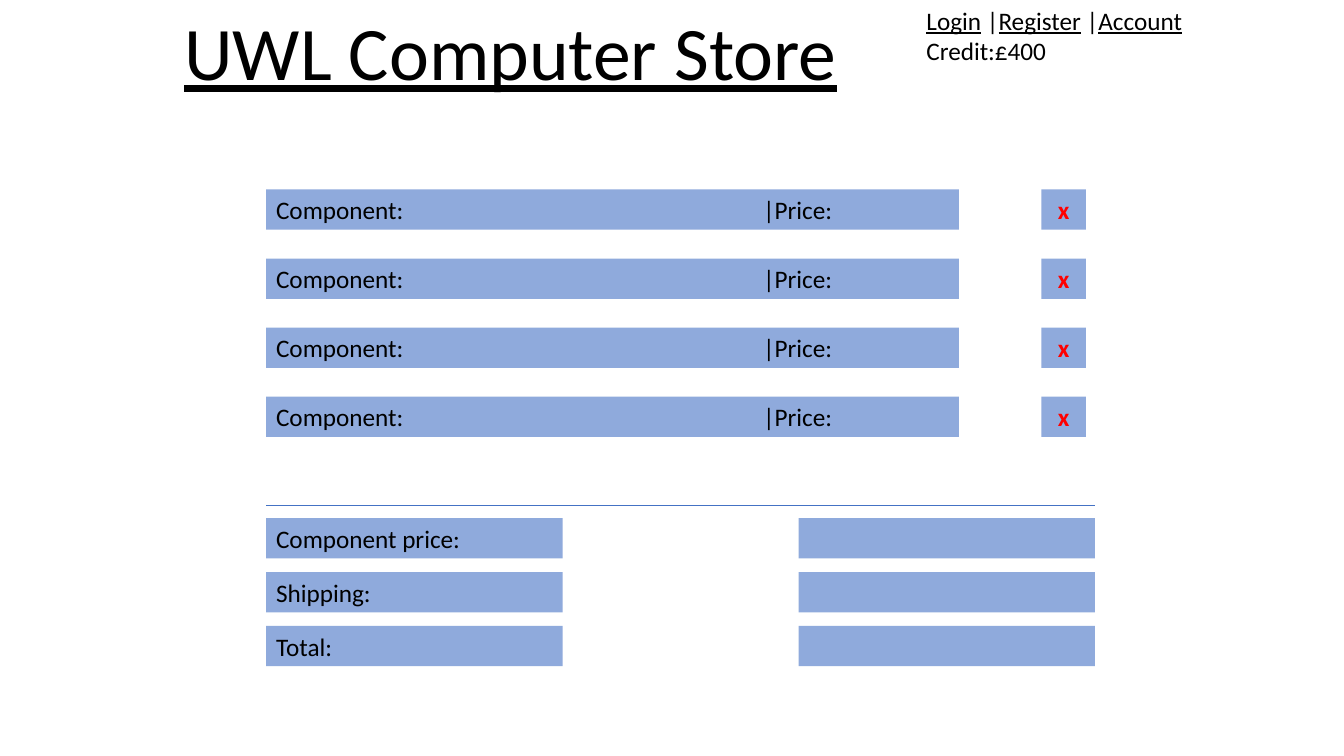
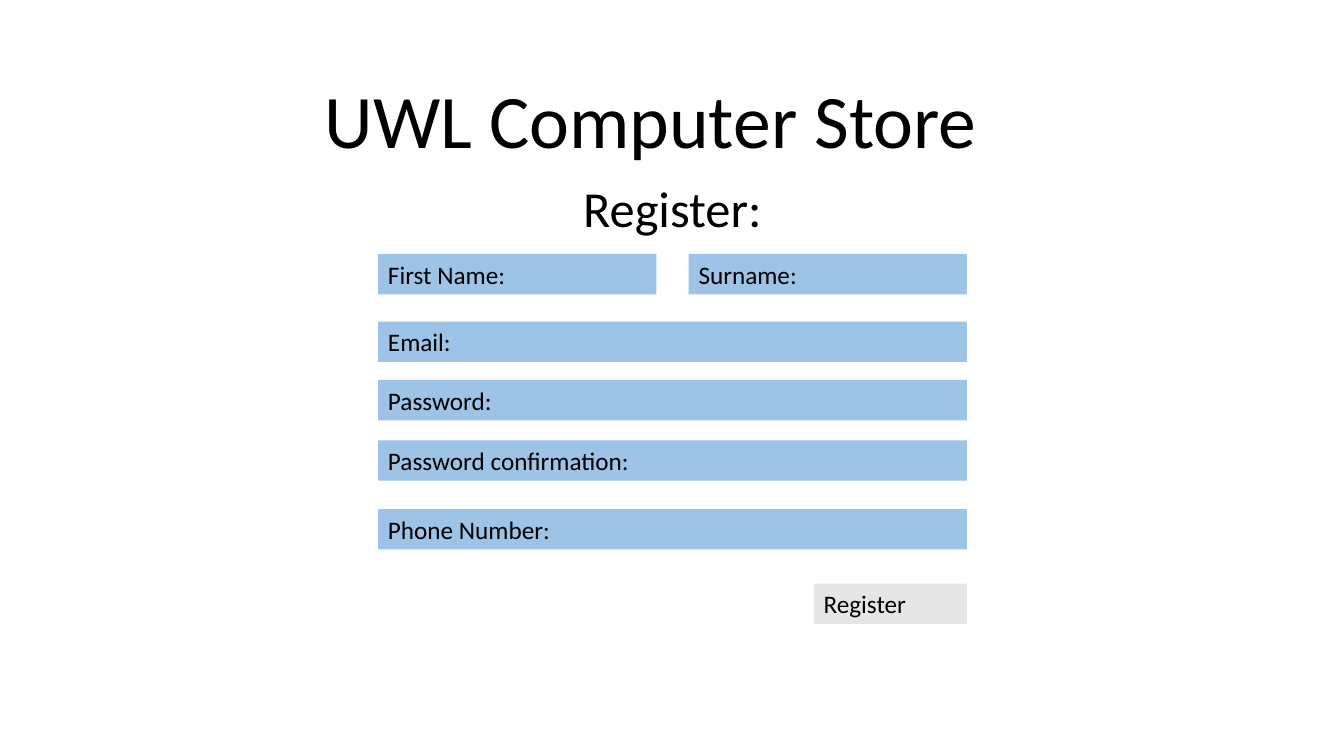
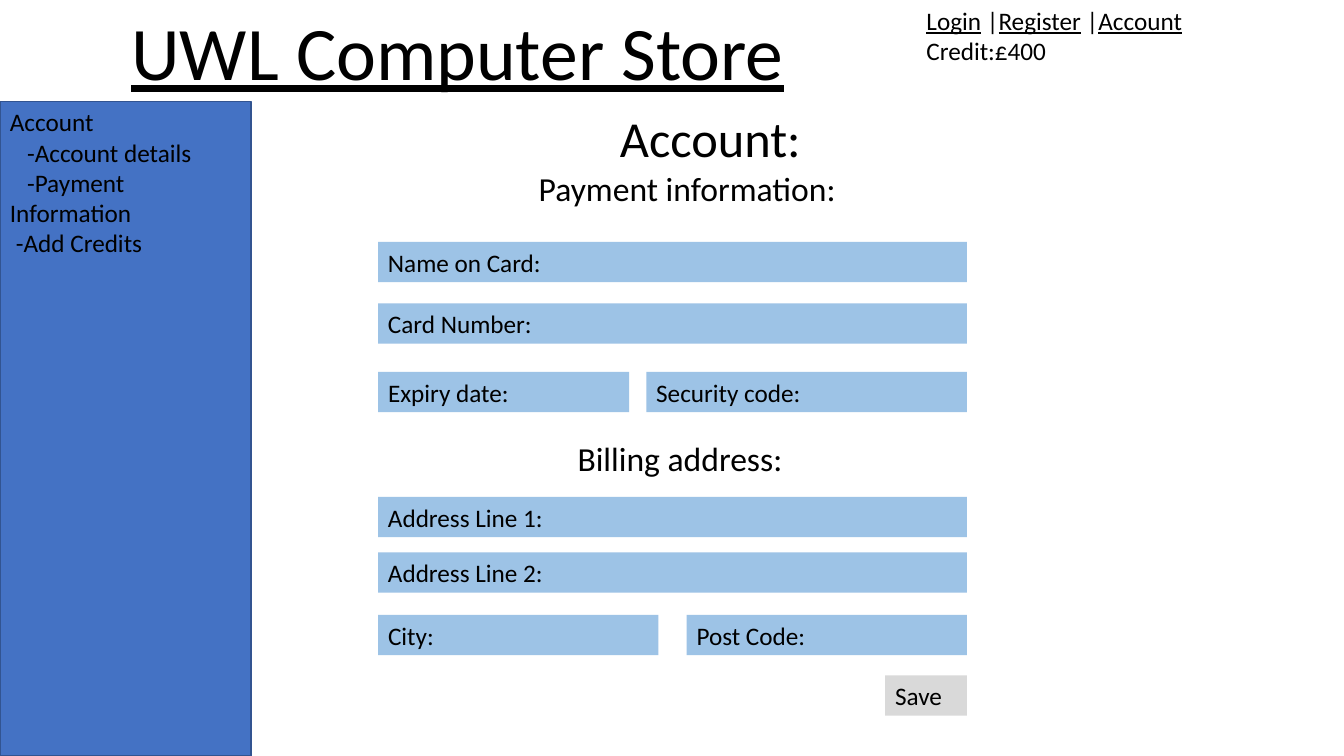
from dataclasses import dataclass

from pptx import Presentation
from pptx import util as u
from pptx.dml.color import RGBColor
from pptx.enum import shapes, text
from pptx.oxml.ns import qn
from lxml import etree


@dataclass(frozen=True)
class Theme:
    font: str = "Calibri"
    ink: str = "000000"
    remove: str = "FF0000"
    basket: str = "8FAADC"
    field: str = "9DC3E6"
    register: str = "E7E6E6"
    save: str = "D9D9D9"
    sidebar: str = "4472C4"
    sidebar_edge: str = "325491"
    title_size: int = 54
    heading_size: int = 36
    section_size: int = 24
    body_size: int = 18


theme = Theme()
LEFT, CENTER = text.PP_ALIGN.LEFT, text.PP_ALIGN.CENTER
ROW_HEIGHT = 0.4


def write(frame, lines, size=theme.body_size, color=theme.ink, align=LEFT, **run_format):
    """Fill a text frame; a line is a string or a list of (text, underline) pairs."""
    frame_format = {"word_wrap": True, "auto_size": text.MSO_AUTO_SIZE.NONE,
                    "vertical_anchor": text.MSO_ANCHOR.TOP}
    for name, value in frame_format.items():
        setattr(frame, name, value)
    run_format = {"name": theme.font, "size": u.Pt(size), **run_format}
    for index, line in enumerate(lines):
        paragraph = frame.add_paragraph() if index else frame.paragraphs[0]
        paragraph.alignment = align
        pieces = [(line, run_format.get("underline"))] if isinstance(line, str) else line
        for words, underline in pieces:
            run = paragraph.add_run()
            run.text = words
            for name, value in {**run_format, "underline": underline}.items():
                setattr(run.font, name, value)
            run.font.color.rgb = RGBColor.from_string(color)


def add_box(slide, left, top, width, height, lines=(), fill=None, **text_format):
    """Add a filled rectangle, or a text box when there is no fill."""
    place = [u.Inches(length) for length in (left, top, width, height)]
    if fill:
        shape = slide.shapes.add_shape(shapes.MSO_SHAPE.RECTANGLE, *place)
        shape.shadow.inherit = False
        shape.fill.solid()
        shape.fill.fore_color.rgb = RGBColor.from_string(fill)
        shape.line.fill.background()
    else:
        shape = slide.shapes.add_textbox(*place)
    write(shape.text_frame, lines, **text_format)
    return shape


presentation = Presentation()
presentation.slide_width = u.Inches(13.33)
presentation.slide_height = u.Inches(7.5)
title_only = presentation.slide_layouts[5]

# Titles and account links: left, top, width, has links
pages = []
for left, top, width, has_links in [
    (0, 0, 10.13, True),
    (1.39, 0.67, 10.13, False),
    (0, 0, 9.08, True),
]:
    slide = presentation.slides.add_slide(title_only)
    pages.append(slide)
    title = slide.shapes.title
    title_place = {"left": left, "top": top, "width": width, "height": 1.01}
    for name, value in title_place.items():
        setattr(title, name, u.Inches(value))
    write(title.text_frame, ["UWL Computer Store"], size=theme.title_size,
          align=CENTER, underline=has_links)
    if has_links:
        links = [("Login", True), (" |", False), ("Register", True),
                 (" |", False), ("Account", True)]
        add_box(slide, 9.09, 0, 2.81, 0.71, [links, "Credit:£400"])
basket, register, account = pages

# Basket: components with remove buttons
basket_left = 2.64
for row in range(4):
    top = 1.88 + row * 0.685
    component = add_box(basket, basket_left, top, 6.87, ROW_HEIGHT, fill=theme.basket)
    properties = component.text_frame.paragraphs[0]._p.get_or_add_pPr()
    tabs = etree.SubElement(properties, qn("a:tabLst"))
    etree.SubElement(tabs, qn("a:tab"), pos=str(u.Inches(4.83)), algn="l")
    write(component.text_frame, ["Component:\t|Price:"])
    add_box(basket, 10.33, top, 0.44, ROW_HEIGHT, ["x"], fill=theme.basket,
            color=theme.remove, align=CENTER, bold=True)

# Basket: totals under a rule
total_width, amount_left = 2.94, 7.92
rule = basket.shapes.add_connector(
    shapes.MSO_CONNECTOR.STRAIGHT, u.Inches(basket_left), u.Inches(5.01),
    u.Inches(amount_left + total_width), u.Inches(5.01))
rule.line.color.rgb = RGBColor.from_string(theme.sidebar)
rule.line.width = u.Pt(0.5)
etree.SubElement(rule._element.spPr, qn("a:effectLst"))
for row, label in enumerate(["Component price:", "Shipping:", "Total:"]):
    top = 5.14 + row * 0.535
    add_box(basket, basket_left, top, total_width, ROW_HEIGHT, [label], fill=theme.basket)
    add_box(basket, amount_left, top, total_width, ROW_HEIGHT, fill=theme.basket)

# Account: sidebar menu
menu = ["Account", "-Account details", "-Payment Information", "-Add Credits"]
sidebar = add_box(account, 0, 1.01, 2.49, 6.49, menu, fill=theme.sidebar)
sidebar.line.color.rgb = RGBColor.from_string(theme.sidebar_edge)
sidebar.line.width = u.Pt(1)
sidebar.text_frame.margin_right = u.Inches(0.24)
for paragraph, indent in zip(sidebar.text_frame.paragraphs, [0, 0.17, 0.17, 0.06]):
    paragraph._p.get_or_add_pPr().set("indent", str(u.Inches(indent)))

# Headings: slide, left, top, width, height, label, size, alignment
for slide, left, top, width, height, label, size, align in [
    (register, 4.86, 1.71, 3.62, 0.71, "Register:", theme.heading_size, CENTER),
    (account, 3.22, 1.01, 7.65, 0.71, "Account:", theme.heading_size, CENTER),
    (account, 4.66, 1.62, 4.31, 0.5, "Payment information:", theme.section_size, CENTER),
    (account, 5.63, 4.3, 2.37, 0.5, "Billing address:", theme.section_size, LEFT),
]:
    add_box(slide, left, top, width, height, [label], size=size, align=align)

# Form rows: slide, top, then a label and width for each field;
# the first field is flush left and the second flush right
form_left, form_width = 3.75, 5.84
form_right = form_left + form_width
for slide, top, *fields in [
    (register, 2.52, ("First Name:", 2.76), ("Surname:", 2.76)),
    (register, 3.19, ("Email:", form_width)),
    (register, 3.77, ("Password:", form_width)),
    (register, 4.37, ("Password confirmation:", form_width)),
    (register, 5.05, ("Phone Number:", form_width)),
    (account, 2.4, ("Name on Card:", form_width)),
    (account, 3.01, ("Card Number:", form_width)),
    (account, 3.69, ("Expiry date:", 2.49), ("Security code:", 3.18)),
    (account, 4.93, ("Address Line 1:", form_width)),
    (account, 5.48, ("Address Line 2:", form_width)),
    (account, 6.1, ("City:", 2.78), ("Post Code:", 2.78)),
]:
    for column, (label, width) in enumerate(fields):
        left = form_right - width if column else form_left
        add_box(slide, left, top, width, ROW_HEIGHT, [label], fill=theme.field)

# Buttons end at the right edge of the form
for slide, top, width, label, fill in [
    (register, 5.79, 1.52, "Register", theme.register),
    (account, 6.7, 0.81, "Save", theme.save),
]:
    add_box(slide, form_right - width, top, width, ROW_HEIGHT, [label], fill=fill)

presentation.save("out.pptx")
